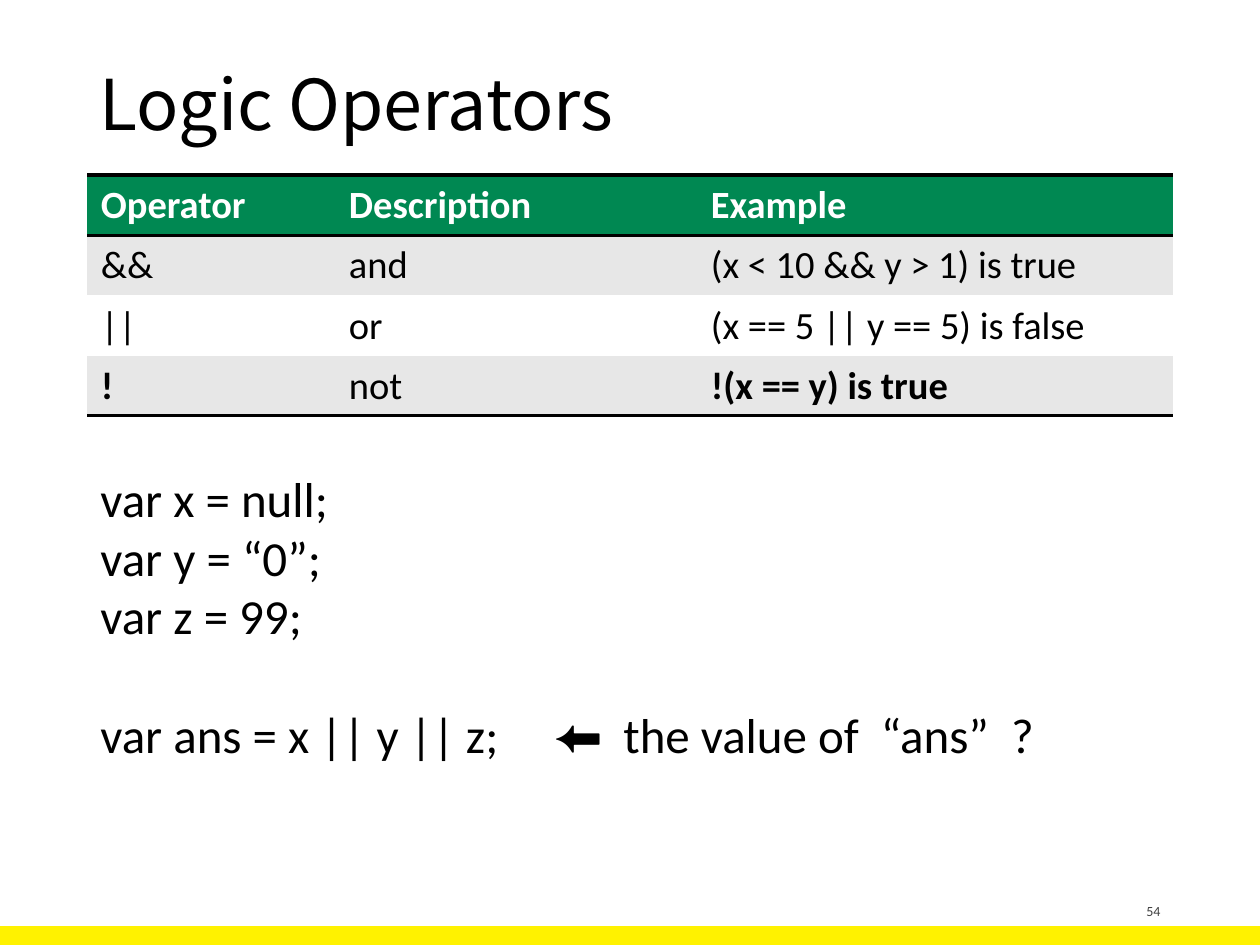
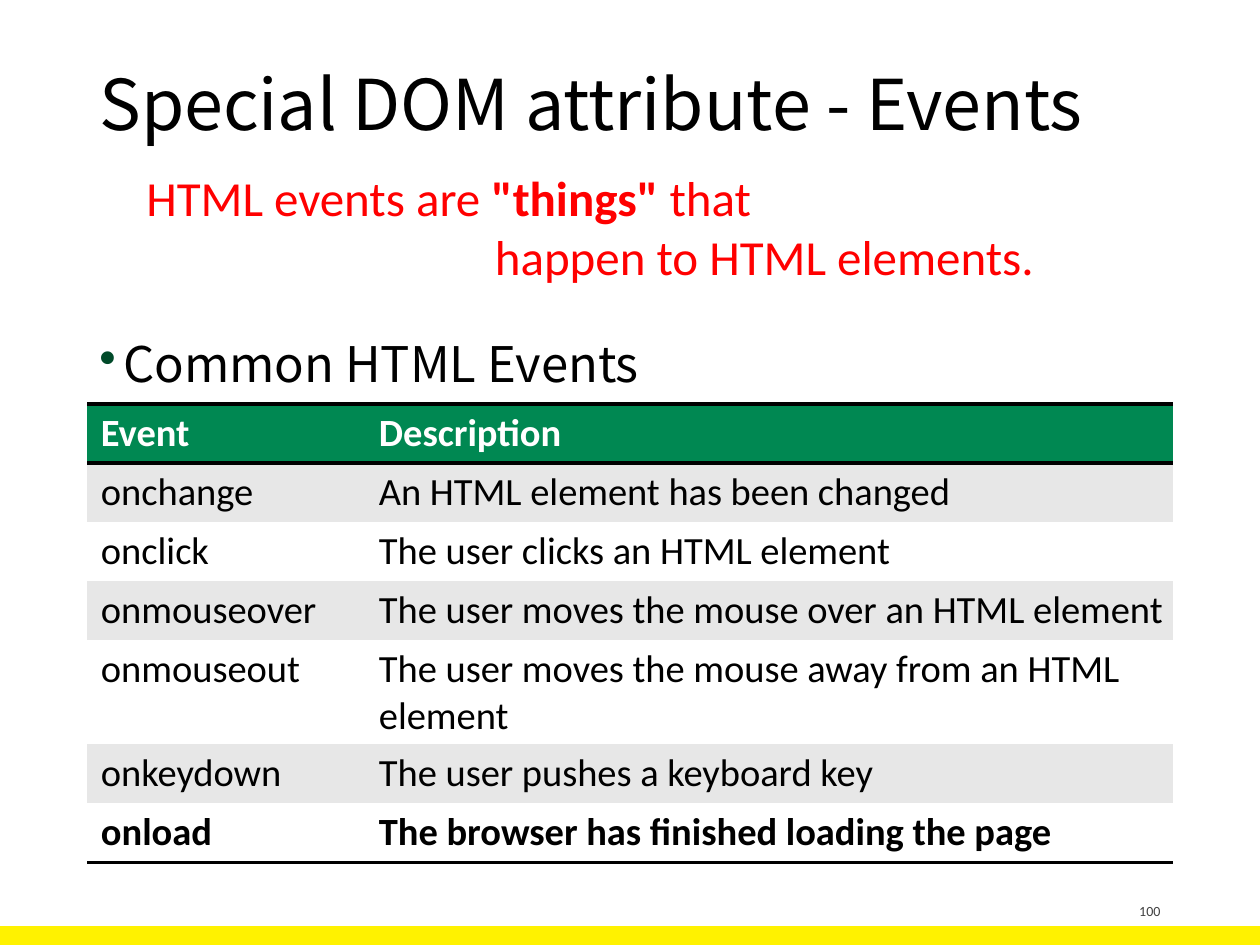
from lxml import etree
from pptx import Presentation
from pptx.dml.color import RGBColor
from pptx.enum.shapes import MSO_SHAPE
from pptx.enum.text import MSO_ANCHOR, PP_ALIGN
from pptx.oxml.ns import qn
from pptx.util import Pt

RECTANGLE = MSO_SHAPE.RECTANGLE
TOP, MIDDLE, BOTTOM = MSO_ANCHOR.TOP, MSO_ANCHOR.MIDDLE, MSO_ANCHOR.BOTTOM
LEFT, RIGHT = PP_ALIGN.LEFT, PP_ALIGN.RIGHT

PX = 914400 / 126
SLIDE_W, SLIDE_H = 1260, 945
TITLE_BOX = (87, 50, 1086, 115)
NUMBER_BOX = (897, 876, 276, 50)
BAND_BOX = (0, 926, SLIDE_W, 19)

BODY_FONT, HEADING_FONT = "Calibri", "Noto Sans CJK JP"
BLACK, WHITE, RED, GRAY = "000000", "FFFFFF", "FF0000", "404040"
YELLOW, GREEN, DARK_GREEN, STRIPE = "FFF200", "008852", "004A29", "E7E7E7"
NO_GRID_STYLE = "{2D5ABB26-0587-4C30-8999-92F81FD0307C}"


def px(length):
    return round(length * PX)


def emu_box(box):
    return [px(length) for length in box]


def color(hex_text):
    return RGBColor.from_string(hex_text)


def add_run(paragraph, text, size, ink=BLACK, font=BODY_FONT, bold=False):
    run = paragraph.add_run()
    run.text = text
    run.font.size = Pt(size)
    run.font.name = font
    run.font.bold = bold
    run.font.color.rgb = color(ink)


def add_text(slide, box, lines, size, ink=BLACK, font=BODY_FONT,
             anchor=TOP, align=LEFT, spacing=None):
    """Each line is a list of (text, bold) runs; returns the paragraphs."""
    frame = slide.shapes.add_textbox(*emu_box(box)).text_frame
    frame.word_wrap = True
    frame.vertical_anchor = anchor
    for index, runs in enumerate(lines):
        paragraph = frame.add_paragraph() if index else frame.paragraphs[0]
        paragraph.alignment = align
        paragraph.line_spacing = spacing
        for text, bold in runs:
            add_run(paragraph, text, size, ink, font, bold)
    return frame.paragraphs


def add_bullet(paragraph, hanging, ink):
    properties = paragraph._p.get_or_add_pPr()
    properties.set("marL", str(px(hanging)))
    properties.set("indent", str(-px(hanging)))
    bullet_color = etree.SubElement(properties, qn("a:buClr"))
    etree.SubElement(bullet_color, qn("a:srgbClr"), val=ink)
    etree.SubElement(properties, qn("a:buChar"), char="•")


def add_tab_stops(paragraph, stops):
    tabs = etree.SubElement(paragraph._p.get_or_add_pPr(), qn("a:tabLst"))
    for stop in stops:
        etree.SubElement(tabs, qn("a:tab"), pos=str(px(stop)), algn="l")


def add_rules(cell, sides):
    """Draw 2 pt black rules on the given sides, in schema order."""
    properties = cell._tc.get_or_add_tcPr()
    for position, side in enumerate(sides):
        rule = etree.Element(qn(f"a:ln{side}"), w=str(Pt(2)))
        fill = etree.SubElement(rule, qn("a:solidFill"))
        etree.SubElement(fill, qn("a:srgbClr"), val=BLACK)
        properties.insert(position, rule)


def striped_table(slide, left, top, widths, row_height, inset, rows, bold_cells):
    box = (left, top, sum(widths), row_height * len(rows))
    table = slide.shapes.add_table(len(rows), len(widths), *emu_box(box)).table
    table._tbl.tblPr.find(qn("a:tableStyleId")).text = NO_GRID_STYLE
    for column, width in zip(table.columns, widths):
        column.width = px(width)
    for r, row in enumerate(rows):
        header = r == 0
        background = GREEN if header else STRIPE if r % 2 else WHITE
        for c, text in enumerate(row):
            cell = table.cell(r, c)
            cell.margin_left = px(inset if c else 14)
            cell.margin_right = cell.margin_top = cell.margin_bottom = px(inset)
            cell.fill.solid()
            cell.fill.fore_color.rgb = color(background)
            add_run(cell.text_frame.paragraphs[0], text, 22,
                    WHITE if header else BLACK,
                    bold=header or text in bold_cells)
            if header:
                add_rules(cell, "TB")
            elif r == len(rows) - 1:
                add_rules(cell, "B")


def base_slide(deck, title, number):
    slide = deck.slides.add_slide(deck.slide_layouts[6])
    # Bottom band
    band = slide.shapes.add_shape(RECTANGLE, *emu_box(BAND_BOX))
    band.shadow.inherit = False
    band.fill.solid()
    band.fill.fore_color.rgb = color(YELLOW)
    band.line.fill.background()
    # Slide number and title
    add_text(slide, NUMBER_BOX, [[(number, False)]], 8, GRAY,
             anchor=BOTTOM, align=RIGHT)
    add_text(slide, TITLE_BOX, [[(title, False)]], 40, font=HEADING_FONT,
             anchor=MIDDLE, spacing=0.9)
    return slide


def code_question(slide, box):
    lines = [
        "var x = null;",
        "var y = “0”;",
        "var z = 99;",
        "var ans = x || y || z;\t⬅\tthe value of  “ans”  ?",
    ]
    question = add_text(slide, box, [[(line, False)] for line in lines], 28)[-1]
    question.space_before = Pt(34)
    add_tab_stops(question, (453, 523))


def events_definition(slide, box):
    definition = [
        [("HTML events are\u00a0", False), ('"things"', True), ("\u00a0that", False)],
        [("happen to HTML elements.", False)],
    ]
    add_text(slide, box, definition, 28, RED)[-1].alignment = RIGHT


def bullet_heading(slide, box, text):
    heading = add_text(slide, box, [[(text, False)]], 28, font=HEADING_FONT,
                       spacing=0.9)[0]
    heading.space_before = Pt(7.5)
    add_bullet(heading, 24, DARK_GREEN)


def logic_operators(deck):
    slide = base_slide(deck, "Logic Operators", "54")
    operators = [
        ("Operator", "Description", "Example"),
        ("&&", "and", "(x < 10 && y > 1) is true"),
        ("||", "or", "(x == 5 || y == 5) is false"),
        ("!", "not", "!(x == y) is true"),
    ]
    striped_table(slide, 87, 175, (255, 362, 469), 60, 7, operators,
                  ("!", "!(x == y) is true"))
    code_question(slide, (88, 462, 975, 310))


def dom_events(deck):
    slide = base_slide(deck, "Special DOM attribute - Events", "100")
    bullet_heading(slide, (87, 334, 1086, 70), "Common HTML Events")
    events_definition(slide, (134, 161, 912, 131))
    events = [
        ("Event", "Description"),
        ("onchange", "An HTML element has been changed"),
        ("onclick", "The user clicks an HTML element"),
        ("onmouseover", "The user moves the mouse over an HTML element"),
        ("onmouseout", "The user moves the mouse away from an HTML element"),
        ("onkeydown", "The user pushes a keyboard key"),
        ("onload", "The browser has finished loading the page"),
    ]
    striped_table(slide, 87, 404, (286, 800), 59, 6, events, events[-1])


def main():
    deck = Presentation()
    deck.slide_width, deck.slide_height = px(SLIDE_W), px(SLIDE_H)
    logic_operators(deck)
    dom_events(deck)
    deck.save("out.pptx")


if __name__ == "__main__":
    main()
